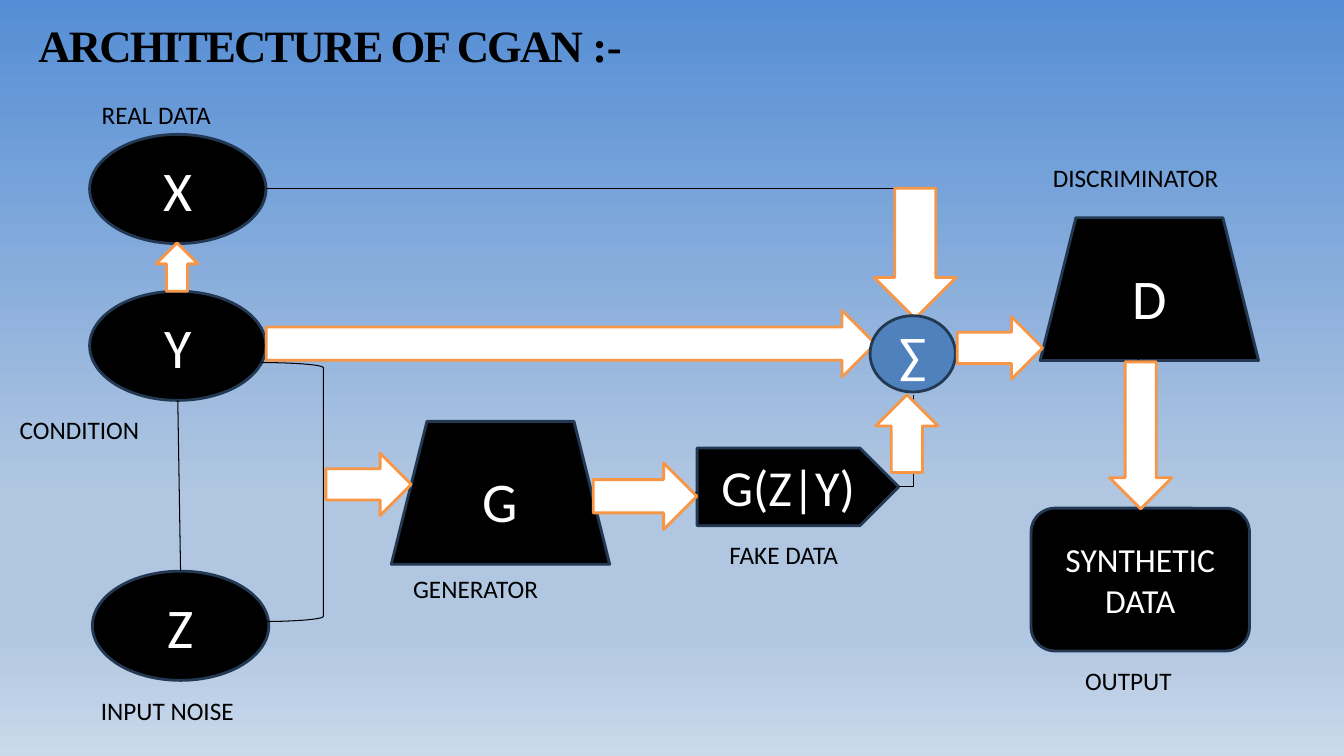
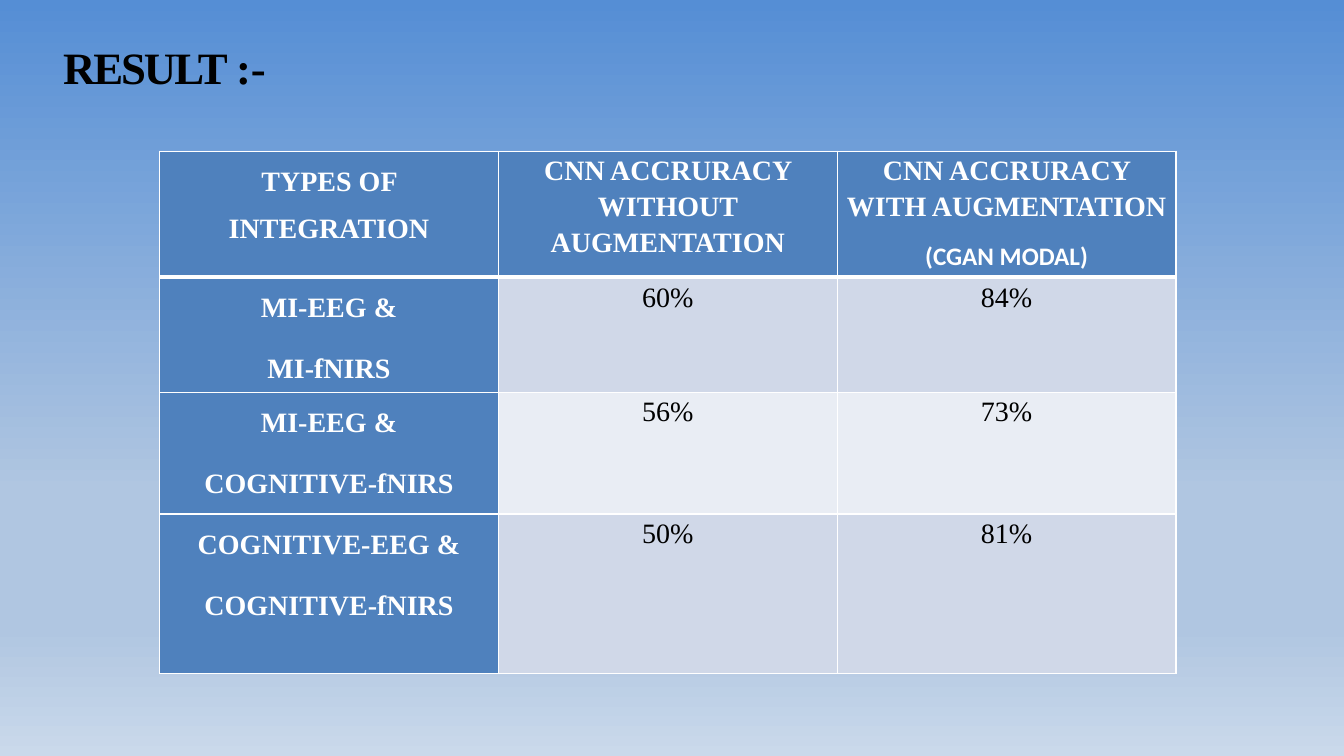
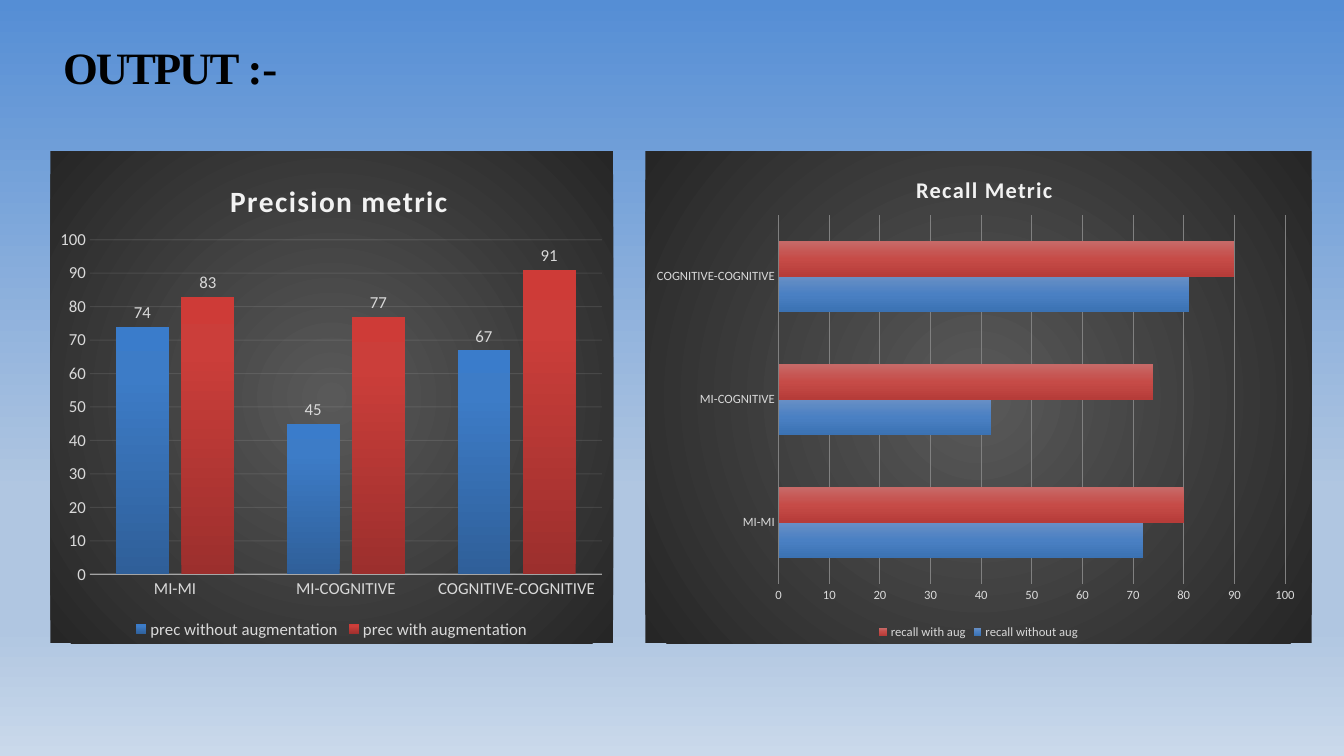
import collections

import pptx
import pptx.chart.data
import pptx.dml.color
import pptx.enum.chart
import pptx.enum.shapes
import pptx.enum.text
import pptx.oxml.ns
import pptx.util
from lxml import etree

Pt = pptx.util.Pt
RGBColor = pptx.dml.color.RGBColor
SHAPE = pptx.enum.shapes.MSO_SHAPE
CONNECTOR = pptx.enum.shapes.MSO_CONNECTOR
ALIGN = pptx.enum.text.PP_ALIGN
CHART = pptx.enum.chart
qn = pptx.oxml.ns.qn

BLACK = RGBColor(0, 0, 0)
WHITE = RGBColor(255, 255, 255)
NAVY = RGBColor(0x23, 0x39, 0x53)
ORANGE = RGBColor(0xF7, 0x96, 0x46)
BLUE = RGBColor(0x4F, 0x81, 0xBD)
BAND_DARK = RGBColor(0xD0, 0xD8, 0xE8)
BAND_LIGHT = RGBColor(0xE9, 0xED, 0xF4)
CHART_TEXT = RGBColor(0xD9, 0xD9, 0xD9)
CHART_BRIGHT = RGBColor(0xF2, 0xF2, 0xF2)
GRID_GREY = RGBColor(0x80, 0x80, 0x80)


def stops(*pairs):
    """Turn (percent, hex) pairs into gradient stops."""
    return [(percent, RGBColor.from_string(code)) for percent, code in pairs]


SKY = stops((0, "558ED5"), (65, "B0C6E1"), (83, "B0C6E1"), (100, "CAD9EB"))
CHARCOAL = stops((0, "595959"), (100, "262626"))
PRECISION_BARS = [
    stops((0, "2F5F99"), (80, "3D7CC7"), (100, "3A7CCB")),
    stops((0, "9C2F2D"), (80, "CB3E3A"), (100, "CE3B37")),
]
RECALL_BARS = [
    stops((0, "688FC5"), (50, "4A80C3"), (100, "3B72B3")),
    stops((0, "C76967"), (50, "C64B47"), (100, "B63C39")),
]

SERIF, SANS = "Times New Roman", "Calibri"
ROUND_NODE = (126, 78)
BLOCK_NODE = (156, 102)
LABEL_HEIGHT = 29
PAIRINGS = ["MI-MI", "MI-COGNITIVE", "COGNITIVE-COGNITIVE"]

Box = collections.namedtuple("Box", "left top width height")


def inner(box, left, top, width=0, height=0):
    """Return a box placed relative to the corner of another."""
    return Box(box.left + left, box.top + top, width, height)


def points(box):
    """Convert a box to lengths in points."""
    return [Pt(length) for length in box]


def sub(parent, tag, **attributes):
    """Add one XML child with the given attributes."""
    values = {key: str(value) for key, value in attributes.items()}
    return etree.SubElement(parent, qn(tag), values)


def add_gradient(parent, colour_stops, angle=None):
    """Append a linear gradient, or a circular one without an angle."""
    gradient = sub(parent, "a:gradFill", rotWithShape=1)
    listing = sub(gradient, "a:gsLst")
    for percent, colour in colour_stops:
        stop = sub(listing, "a:gs", pos=percent * 1000)
        sub(stop, "a:srgbClr", val=colour)
    if angle is None:
        centre = sub(gradient, "a:path", path="circle")
        sub(centre, "a:fillToRect", l=50000, t=50000, r=50000, b=50000)
    else:
        sub(gradient, "a:lin", ang=angle * 60000, scaled=0)
    return gradient


def set_background(master):
    """Give every slide the sky gradient."""
    master.background.fill.solid()
    properties = next(master.element.iter(qn("p:bgPr")))
    plain = properties.find(qn("a:solidFill"))
    properties.replace(plain, add_gradient(properties, SKY, 90))


def add_run(paragraph, text, size, colour, font=SANS, bold=False):
    """Add one formatted run."""
    run = paragraph.add_run()
    run.text = text
    run.font.size, run.font.name, run.font.bold = Pt(size), font, bold
    run.font.color.rgb = colour
    return run


def set_title(slide, box, text, inset_left, inset_top, tracking):
    """Place the title with its closing mark."""
    title = slide.shapes.title
    title.left, title.top, title.width, title.height = points(box)
    frame = title.text_frame
    frame.margin_left, frame.margin_top = Pt(inset_left), Pt(inset_top)
    frame.margin_right = frame.margin_bottom = 0
    frame.vertical_anchor = pptx.enum.text.MSO_ANCHOR.TOP
    frame.auto_size = pptx.enum.text.MSO_AUTO_SIZE.SHAPE_TO_FIT_TEXT
    paragraph = frame.paragraphs[0]
    paragraph.alignment = ALIGN.LEFT
    for words, spacing in ((text + " ", tracking), (":-", -20)):
        run = add_run(paragraph, words, 32, BLACK, SERIF, True)
        run.font._element.set("spc", str(spacing))


def add_figure(slide, kind, box, fill, outline, weight=2):
    """Add a preset shape with a plain fill and outline."""
    figure = slide.shapes.add_shape(kind, *points(box))
    figure.shadow.inherit = False
    if fill is None:
        figure.fill.background()
    else:
        figure.fill.solid()
        figure.fill.fore_color.rgb = fill
    figure.line.color.rgb = outline
    figure.line.width = Pt(weight)
    return figure


def add_node(slide, kind, box, text, size=40, fill=BLACK):
    """Add a labelled step of the network."""
    node = add_figure(slide, kind, box, fill, NAVY)
    node.text_frame.vertical_anchor = pptx.enum.text.MSO_ANCHOR.MIDDLE
    paragraph = node.text_frame.paragraphs[0]
    paragraph.alignment = ALIGN.CENTER
    add_run(paragraph, text, size, WHITE)
    return node


def add_arrow(slide, box, turn=0, kind=SHAPE.UP_ARROW):
    """Add a white block arrow turned by some degrees."""
    add_figure(slide, kind, box, WHITE, ORANGE).rotation = turn


def add_label(slide, box, text):
    """Add a caption beside a node."""
    frame = slide.shapes.add_textbox(*points(box)).text_frame
    frame.word_wrap = True
    frame.auto_size = pptx.enum.text.MSO_AUTO_SIZE.SHAPE_TO_FIT_TEXT
    add_run(frame.paragraphs[0], text, 18, BLACK)


def add_link(slide, start, end, kind=CONNECTOR.STRAIGHT):
    """Add a thin line between the corners of two boxes."""
    link = slide.shapes.add_connector(kind, *points(start[:2] + end[:2]))
    link.line.color.rgb = BLACK
    link.line.width = Pt(0.75)
    sub(link.element.find(qn("p:spPr")), "a:effectLst")
    return link


def draw_inputs(slide, box):
    """Draw data, condition and noise."""
    for text, left, top in (("X", 57, 32), ("Y", 57, 144), ("Z", 59, 344)):
        add_node(slide, SHAPE.OVAL, inner(box, left, top, *ROUND_NODE), text)
    add_link(slide, inner(box, 120, 222), inner(box, 122, 344))
    add_figure(slide, SHAPE.RIGHT_BRACKET, inner(box, 179.5, 195, 44.5, 185),
               None, BLACK, 0.75)
    for text, left, top in (("REAL DATA", 58.5, 3.5), ("CONDITION", 0, 228.5),
                            ("INPUT NOISE", 58, 429)):
        add_label(slide, inner(box, left, top, 138, LABEL_HEIGHT), text)
    add_arrow(slide, inner(box, 104.5, 109.5, 30, 34.5))


def draw_generation(slide, box):
    """Draw the generator and return the fake data node."""
    add_node(slide, SHAPE.TRAPEZOID, inner(box, 49.5, 1, *BLOCK_NODE), "G")
    fake = add_node(slide, SHAPE.PENTAGON, inner(box, 268, 20, 144, 55.5), "G(Z|Y)", 36)
    add_link(slide, inner(box, 196, 51.5), inner(box, 268, 51.5))
    add_label(slide, inner(box, 58, 106, 138, LABEL_HEIGHT), "GENERATOR")
    add_label(slide, inner(box, 284, 81.5, 138, LABEL_HEIGHT), "FAKE DATA")
    add_arrow(slide, inner(box, 11, 15.5, 44.5, 61), 90)
    add_arrow(slide, inner(box, 207, 17.5, 47.5, 74), 90)
    return fake


def draw_discrimination(slide, box):
    """Draw the discriminator and its output."""
    add_node(slide, SHAPE.TRAPEZOID, inner(box, 7, 43.5, *BLOCK_NODE), "D")
    synthetic = add_node(slide, SHAPE.ROUNDED_RECTANGLE,
                         inner(box, 0.5, 251, *BLOCK_NODE), "SYNTHETIC DATA", 24)
    link = add_link(slide, inner(box, 77, 128.5), inner(box, 78.5, 251))
    link.end_connect(synthetic, 0)
    add_label(slide, inner(box, 9, 0.5, 160.5, LABEL_HEIGHT), "DISCRIMINATOR")
    add_label(slide, inner(box, 32, 359.5, 138, LABEL_HEIGHT), "OUTPUT")
    add_arrow(slide, inner(box, 56.5, 146.5, 44.5, 105), 180)


def draw_fusion(slide, box, fake):
    """Draw the sum that joins real, conditional and fake data."""
    corner = inner(box, 462.5, 0.5)
    add_link(slide, inner(box, 0, 0.5), corner)
    add_link(slide, corner, inner(box, 462.5, 87.5))
    bend = add_link(slide, inner(box, 452, 213.5), inner(box, 462.5, 148), CONNECTOR.ELBOW)
    bend.begin_connect(fake, 3)
    next(bend.element.iter(qn("a:prstGeom"))).set("prst", "bentConnector2")
    add_arrow(slide, inner(box, 194, -106, 47.5, 435), 90)
    add_arrow(slide, inner(box, 434.5, 0.5, 58.5, 93), 0, SHAPE.DOWN_ARROW)
    add_arrow(slide, inner(box, 435.5, 148, 44.5, 55.5), 180, SHAPE.DOWN_ARROW)
    add_node(slide, SHAPE.OVAL, inner(box, 431.5, 91.5, 61, 54.5), "∑", 36, BLUE)
    add_arrow(slide, inner(box, 502, 84, 44.5, 61), 90)


def set_borders(cell, **weights):
    """Draw white borders, one point wide unless told otherwise."""
    properties = cell._tc.get_or_add_tcPr()
    for index, side in enumerate(("lnL", "lnR", "lnT", "lnB")):
        width = Pt(weights.get(side, 1))
        border = etree.Element(qn("a:" + side), {"w": str(width)})
        sub(sub(border, "a:solidFill"), "a:srgbClr", val=WHITE)
        properties.insert(index, border)


def fill_cell(cell, lines, fill, colour, bold, spacing):
    """Write centred lines into a table cell."""
    cell.fill.solid()
    cell.fill.fore_color.rgb = fill
    cell.margin_left = cell.margin_right = Pt(5)
    cell.margin_top = cell.margin_bottom = 0
    frame = cell.text_frame
    for index, (text, size, font) in enumerate(lines):
        paragraph = frame.add_paragraph() if index else frame.paragraphs[0]
        paragraph.alignment = ALIGN.CENTER
        paragraph.line_spacing = spacing
        paragraph.space_after = Pt(10)
        add_run(paragraph, text, size, colour, font, bold)


def draw_results(slide, box):
    """Draw the accuracy table."""
    rows = [
        ("TYPES OF INTEGRATION", "CNN ACCRURACY WITHOUT AUGMENTATION",
         "CNN ACCRURACY WITH AUGMENTATION\n(CGAN MODAL)"),
        ("MI-EEG &\nMI-fNIRS", "60%", "84%"),
        ("MI-EEG &\nCOGNITIVE-fNIRS", "56%", "73%"),
        ("COGNITIVE-EEG &\nCOGNITIVE-fNIRS", "50%", "81%"),
    ]
    table = slide.shapes.add_table(len(rows), 3, *points(box)).table
    for column in table.columns:
        column.width = Pt(box.width / 3)
    for row, height in zip(table.rows, (80, 62.5, 87, 114)):
        row.height = Pt(height)
    for r, texts in enumerate(rows):
        for c, text in enumerate(texts):
            heading = r == 0 or c == 0
            fill = BLUE if heading else BAND_DARK if r % 2 else BAND_LIGHT
            lines = [(line, 18, SANS) if line.startswith("(") else (line, 20, SERIF)
                     for line in text.split("\n")]
            cell = table.cell(r, c)
            fill_cell(cell, lines, fill, WHITE if heading else BLACK, heading,
                      1.15 if c else 1.5)
            set_borders(cell, lnB=3 if r == 0 else 1, lnT=3 if r == 1 else 1)


def set_font(font, size, colour=CHART_TEXT):
    """Format one text part of a chart."""
    font.size, font.name = Pt(size), SANS
    font.color.rgb = colour


def set_layout(parent, index, inner_plot=False, **fractions):
    """Place a chart part by fractions of the chart."""
    for old in parent.findall(qn("c:layout")):
        parent.remove(old)
    layout = etree.Element(qn("c:layout"))
    manual = sub(layout, "c:manualLayout")
    if inner_plot:
        sub(manual, "c:layoutTarget", val="inner")
    for key in ("x", "y"):
        sub(manual, "c:" + key + "Mode", val="edge")
    for key, value in fractions.items():
        sub(manual, "c:" + key, val=value)
    parent.insert(index, layout)


def fade(parent, percent):
    """Make the colours below an element partly transparent."""
    for colour in parent.iter(qn("a:srgbClr")):
        sub(colour, "a:alpha", val=percent * 1000)


def draw_chart(slide, box, kind, title, title_size, size, series, bars, angle, gap,
               overlap, grid, title_at, plot_at):
    """Draw a clustered chart on a charcoal panel."""
    data = pptx.chart.data.CategoryChartData()
    data.categories = PAIRINGS
    for name, values in series:
        data.add_series(name, values)
    chart = slide.shapes.add_chart(kind, *points(box), data).chart
    set_font(chart.font, 10, BLACK)
    chart.has_title = True
    heading = add_run(chart.chart_title.text_frame.paragraphs[0], title, title_size,
                      CHART_BRIGHT, SANS, True)
    heading.font._element.set("spc", "100")
    chart.chart_title.include_in_layout = False
    chart.has_legend = True
    chart.legend.position = CHART.XL_LEGEND_POSITION.BOTTOM
    chart.legend.include_in_layout = False
    set_font(chart.legend.font, size)
    plot = chart.plots[0]
    plot.vary_by_categories = False
    plot.gap_width, plot.overlap = gap, overlap
    for axis in (chart.category_axis, chart.value_axis):
        axis.major_tick_mark = axis.minor_tick_mark = CHART.XL_TICK_MARK.NONE
        axis.format.line.fill.background()
        set_font(axis.tick_labels.font, size)
    scale = chart.value_axis
    scale.minimum_scale, scale.maximum_scale, scale.major_unit = 0, 100, 10
    scale.has_major_gridlines = True
    scale.major_gridlines.format.line.color.rgb = grid
    scale.major_gridlines.format.line.width = Pt(0.75)
    space = chart.element
    for ser, colours in zip(space.iter(qn("c:ser")), bars):
        add_gradient(ser.get_or_add_spPr(), colours, angle)
    panel = etree.Element(qn("c:spPr"))
    add_gradient(panel, CHARCOAL)
    sub(sub(panel, "a:ln"), "a:noFill")
    space.find(qn("c:chart")).addnext(panel)
    set_layout(next(space.iter(qn("c:title"))), 1, x=title_at[0], y=title_at[1])
    set_layout(next(space.iter(qn("c:plotArea"))), 0, True, **dict(zip("xywh", plot_at)))
    return chart


def draw_precision(slide, box):
    """Draw the precision columns with values and a base line."""
    chart = draw_chart(
        slide, box, CHART.XL_CHART_TYPE.COLUMN_CLUSTERED, "Precision metric", 21, 12,
        [("prec without augmentation", (74, 45, 67)),
         ("prec with augmentation", (83, 77, 91))],
        PRECISION_BARS, 270, 100, -24, CHART_BRIGHT, (0.31, 0.05), (0.07, 0.18, 0.91, 0.68))
    for series in chart.plots[0].series:
        labels = series.data_labels
        labels.show_value = True
        labels.position = CHART.XL_LABEL_POSITION.OUTSIDE_END
        set_font(labels.font, 12)
    base = chart.category_axis.format.line
    base.color.rgb = CHART_BRIGHT
    base.width = Pt(1)
    fade(next(chart.element.iter(qn("c:catAx"))).find(qn("c:spPr")), 54)
    fade(next(chart.element.iter(qn("c:majorGridlines"))), 10)


def draw_recall(slide, box):
    """Draw the recall bars."""
    draw_chart(
        slide, box, CHART.XL_CHART_TYPE.BAR_CLUSTERED, "Recall Metric", 16, 9,
        [("recall without aug", (72, 42, 81)), ("recall with aug", (80, 74, 90))],
        RECALL_BARS, 90, 150, 0, GRID_GREY, (0.4, 0.04), (0.2, 0.13, 0.76, 0.75))


def main():
    """Build the three slides."""
    deck = pptx.Presentation()
    deck.slide_width, deck.slide_height = Pt(960), Pt(540)
    set_background(deck.slide_master)
    architecture, result, output = [
        deck.slides.add_slide(deck.slide_layouts[5]) for _ in range(3)]

    set_title(architecture, Box(24, -4, 659, 55), "ARCHITECTURE OF CGAN", 3.5, 16.5, -140)
    draw_inputs(architecture, Box(7, 64, 230, 458))
    fake = draw_generation(architecture, Box(230, 300, 430, 140))
    draw_discrimination(architecture, Box(736, 112, 172, 390))
    draw_fusion(architecture, Box(190, 134, 580, 204), fake)

    for slide, text in ((result, "RESULT"), (output, "OUTPUT")):
        set_title(slide, Box(4.5, 0, 219.5, 67), text, 40.5, 28, -150)
    draw_results(result, Box(114, 108, 726, 343.5))
    draw_precision(output, Box(36, 108, 402, 351.5))
    draw_recall(output, Box(461, 108, 476, 351.5))
    deck.save("out.pptx")


if __name__ == "__main__":
    main()
